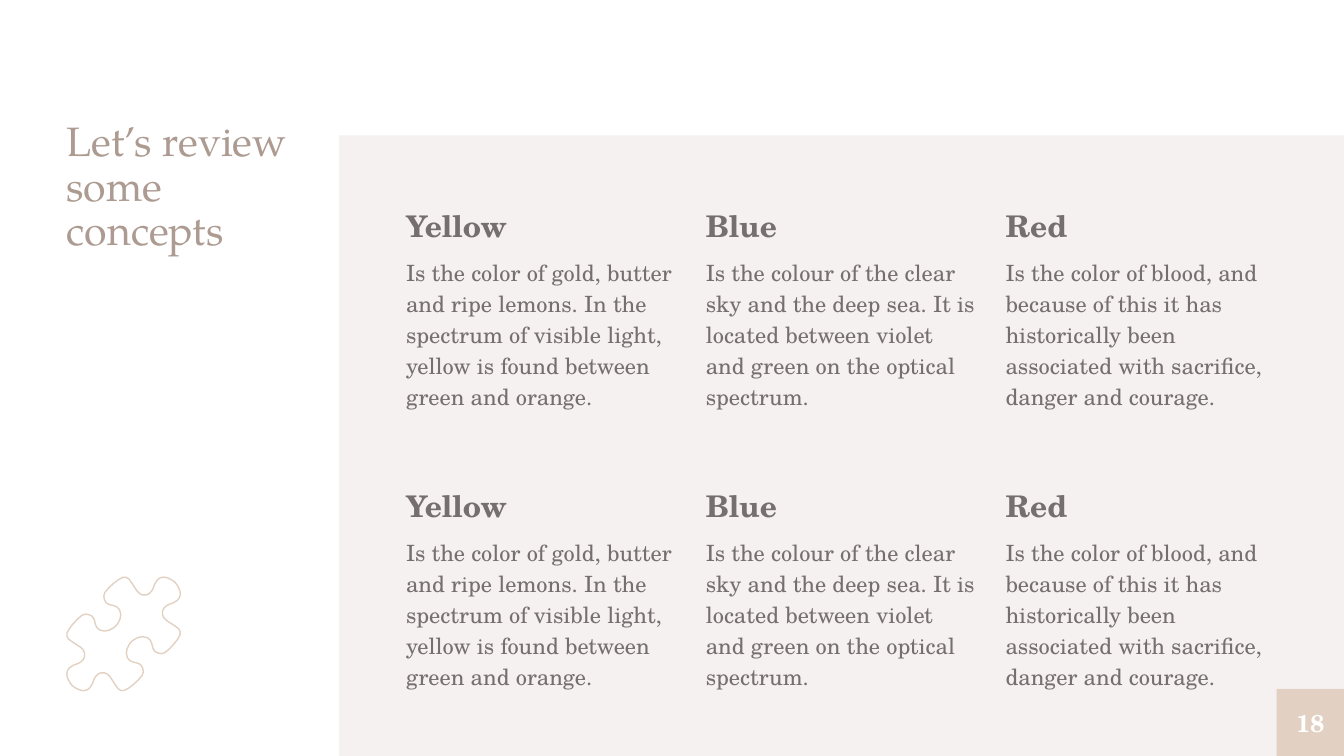
from itertools import product

from lxml import etree
from pptx import Presentation
from pptx.dml.color import RGBColor
from pptx.enum.shapes import MSO_SHAPE
from pptx.enum.text import MSO_ANCHOR, MSO_AUTO_SIZE, PP_ALIGN
from pptx.oxml.ns import qn
from pptx.util import Pt

RECTANGLE = MSO_SHAPE.RECTANGLE
TOP, MIDDLE = MSO_ANCHOR.TOP, MSO_ANCHOR.MIDDLE
LEFT, CENTER = PP_ALIGN.LEFT, PP_ALIGN.CENTER
NO_AUTOFIT = MSO_AUTO_SIZE.NONE

COLORS = {
    "title": "AD9B91",
    "text": "756F6F",
    "panel": "F5F1F0",
    "accent": "E2D1C2",
    "white": "FFFFFF",
}
TITLE_FONT = "TeX Gyre Pagella"
TEXT_FONT = "TeX Gyre Schola"

SLIDE_WIDTH, SLIDE_HEIGHT = 720, 405
PANEL_LEFT, PANEL_TOP = 181.5, 72.5
COLUMN_LEFT, COLUMN_STEP = 217.5, 160.6
ROW_TOP, ROW_STEP = 108.6, 150
BADGE_SIZE = 36

CONCEPTS = [
    ("Yellow", "Is the color of gold, butter and ripe lemons. In the spectrum of "
               "visible light, yellow is found between green and orange."),
    ("Blue", "Is the colour of the clear sky and the deep sea. It is located "
             "between violet and green on the optical spectrum."),
    ("Red", "Is the color of blood, and because of this it has historically been "
            "associated with sacrifice, danger and courage."),
]

# A quarter of the puzzle outline, as offsets from the centre of the piece.
PUZZLE_QUARTER = [
    (27.6, -27.6), (26, -28.8), (24.5, -29.6), (23, -30.2), (21.4, -30.4),
    (19.5, -30), (18, -28.8), (16.7, -26.7), (15.9, -24.5), (15.1, -23),
    (13.7, -21.5), (12.2, -20.9), (10.2, -20.9), (8.7, -21.5), (7.2, -23),
    (4.3, -27.4), (2.9, -29.4), (1.4, -30.3), (-0.4, -30.3), (-2.8, -29),
    (-5.2, -27.2), (-7.9, -24.7), (-10, -22.2), (-10.6, -20.3), (-10.3, -18.5),
    (-9.4, -16.8), (-7.9, -15.8), (-5.2, -15.1), (-3.5, -14.4), (-2.1, -12.9),
    (-1.5, -10.3), (-1.9, -7.9), (-2.9, -5.9), (-4.2, -4.2),
]


def puzzle_outline(center_x, center_y):
    """Mirror the quarter over the diagonal, then turn that half by 180 degrees."""
    half = PUZZLE_QUARTER + [(y, x) for x, y in reversed(PUZZLE_QUARTER)]
    outline = half + [(-x, -y) for x, y in half]
    return [(Pt(center_x + x), Pt(center_y + y)) for x, y in outline]


def color(name):
    return RGBColor.from_string(COLORS[name])


def write(paragraph, text, *, size, font=TEXT_FONT, fill="text", bold=False,
          align=LEFT, line_spacing=1.0, before=0, after=0):
    paragraph.alignment = align
    paragraph.line_spacing = line_spacing
    paragraph.space_before, paragraph.space_after = Pt(before), Pt(after)
    run = paragraph.add_run()
    run.text = text
    run.font.name, run.font.size, run.font.bold = font, Pt(size), bold
    run.font.color.rgb = color(fill)


def remove_bullet(paragraph):
    properties = paragraph._p.get_or_add_pPr()
    properties.set("marL", "0")
    properties.set("indent", "0")
    etree.SubElement(properties, qn("a:buNone"))


class SlideBuilder:
    def __init__(self, presentation):
        layout = presentation.slide_layouts[1]
        self.slide = presentation.slides.add_slide(layout)
        self.title_source, self.body_source = list(layout.placeholders)[:2]
        # Placeholders are added again later, in front of the panel.
        for placeholder in list(self.slide.placeholders):
            placeholder.element.getparent().remove(placeholder.element)

    def prepare_frame(self, shape, anchor=TOP):
        frame = shape.text_frame
        frame.margin_left = frame.margin_right = 0
        frame.margin_top = frame.margin_bottom = 0
        frame.word_wrap = True
        frame.auto_size = NO_AUTOFIT
        frame.vertical_anchor = anchor
        return frame

    def placeholder(self, source, left, top, width, height):
        """Add a placeholder at the given place and return its text frame."""
        self.slide.shapes.clone_placeholder(source)
        shape = self.slide.shapes[-1]
        shape.left, shape.top = Pt(left), Pt(top)
        shape.width, shape.height = Pt(width), Pt(height)
        return self.prepare_frame(shape)

    def rectangle(self, left, top, width, height, fill):
        shape = self.slide.shapes.add_shape(
            RECTANGLE, Pt(left), Pt(top), Pt(width), Pt(height))
        shape.shadow.inherit = False
        shape.fill.solid()
        shape.fill.fore_color.rgb = color(fill)
        shape.line.fill.background()
        return shape

    def title(self, text):
        frame = self.placeholder(self.title_source, 35.7, 65, 128, 304.5)
        write(frame.paragraphs[0], text, size=22, font=TITLE_FONT,
              fill="title", line_spacing=0.9)

    def puzzle_piece(self, center_x, center_y):
        points = puzzle_outline(center_x, center_y)
        builder = self.slide.shapes.build_freeform(*points[0])
        builder.add_line_segments(points[1:], close=True)
        shape = builder.convert_to_shape()
        shape.shadow.inherit = False
        shape.fill.background()
        shape.line.color.rgb = color("accent")
        shape.line.width = Pt(0.75)

    def concept(self, left, top, heading, description):
        frame = self.placeholder(self.body_source, left, top, 145.4, 111.6)
        write(frame.paragraphs[0], heading, size=16, bold=True, line_spacing=1.15)
        write(frame.add_paragraph(), description, size=12, line_spacing=1.15,
              before=6, after=6)
        for paragraph in frame.paragraphs:
            remove_bullet(paragraph)

    def page_badge(self, number):
        shape = self.rectangle(SLIDE_WIDTH - BADGE_SIZE, SLIDE_HEIGHT - BADGE_SIZE,
                               BADGE_SIZE, BADGE_SIZE, "accent")
        frame = self.prepare_frame(shape, MIDDLE)
        write(frame.paragraphs[0], number, size=13, fill="white", bold=True,
              align=CENTER)


def main():
    presentation = Presentation()
    presentation.slide_width = Pt(SLIDE_WIDTH)
    presentation.slide_height = Pt(SLIDE_HEIGHT)

    builder = SlideBuilder(presentation)
    builder.rectangle(PANEL_LEFT, PANEL_TOP, SLIDE_WIDTH - PANEL_LEFT,
                      SLIDE_HEIGHT - PANEL_TOP, "panel")
    builder.title("Let’s review some concepts")
    builder.puzzle_piece(66.2, 339.6)
    for row, (column, concept) in product(range(2), enumerate(CONCEPTS)):
        builder.concept(COLUMN_LEFT + column * COLUMN_STEP,
                        ROW_TOP + row * ROW_STEP, *concept)
    builder.page_badge("18")

    presentation.save("out.pptx")


if __name__ == "__main__":
    main()
